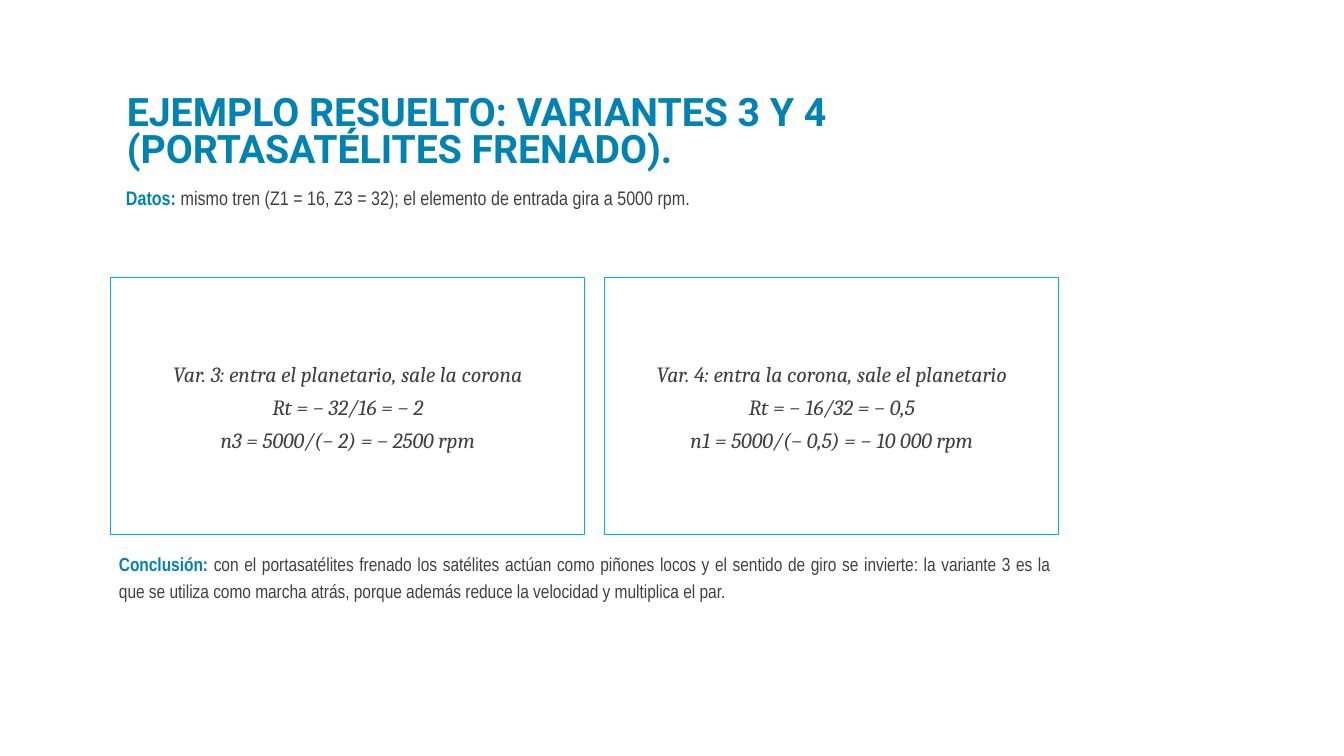
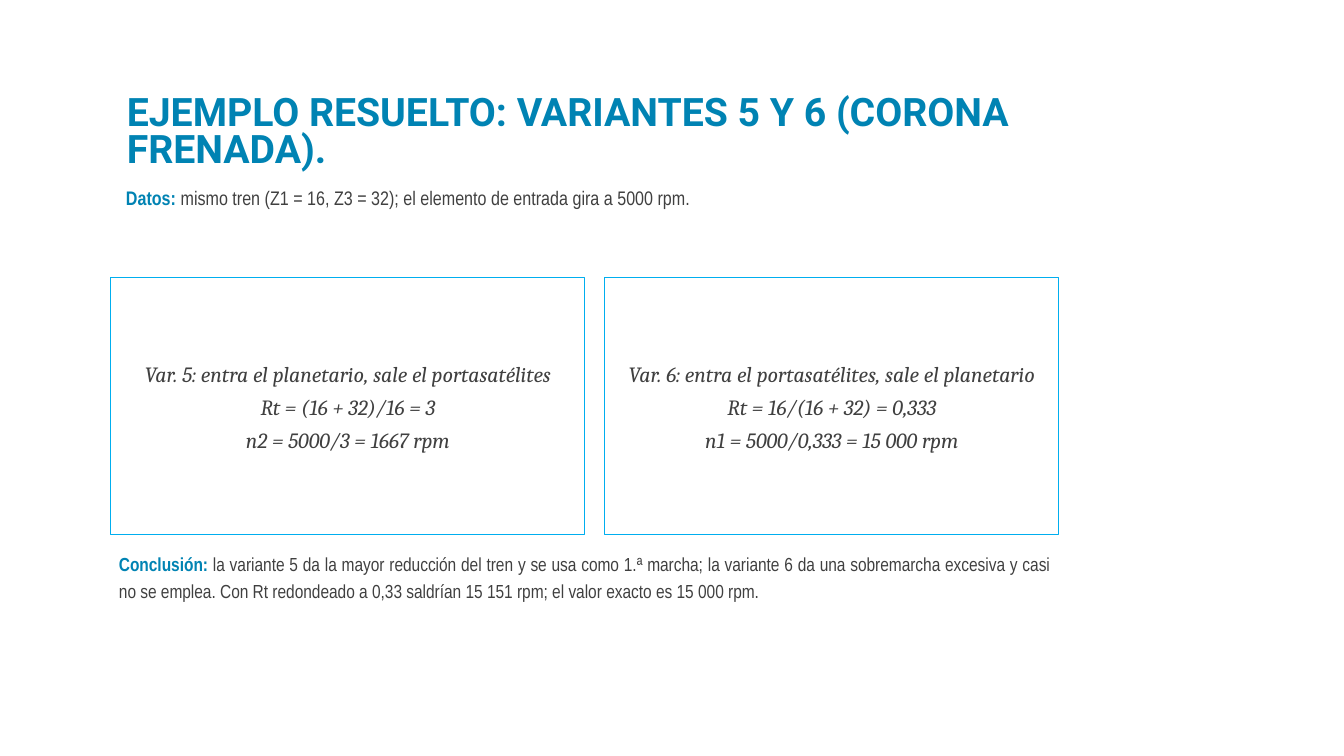
"""Build two worked-example slides about planetary gear variants."""
from pptx import Presentation
from pptx import util as u
from pptx.dml import color
from pptx.enum import shapes, text

BLUE, CYAN, GRAY = "0083B3", "00AEEF", "404040"
LEFT, WIDTH, CARD_TOP, CARD_HEIGHT = 1.1, 9.4, 2.75, 2.55
CARD_SPANS = [(LEFT, 4.7), (6, 4.5)]
BODY_FONT = "Arial Narrow"
GIVEN = "mismo tren (Z1 = 16, Z3 = 32); el elemento de entrada gira a 5000 rpm."

EXAMPLES = [
    {
        "title": "EJEMPLO RESUELTO: VARIANTES 3 Y 4 (PORTASATÉLITES FRENADO).",
        "cards": [
            ["Var. 3: entra el planetario, sale la corona",
             "Rt = − 32/16 = − 2",
             "n3 = 5000/(− 2) = − 2500 rpm"],
            ["Var. 4: entra la corona, sale el planetario",
             "Rt = − 16/32 = − 0,5",
             "n1 = 5000/(− 0,5) = − 10 000 rpm"],
        ],
        "conclusion": "con el portasatélites frenado los satélites actúan como piñones "
                      "locos y el sentido de giro se invierte: la variante 3 es la que se "
                      "utiliza como marcha atrás, porque además reduce la velocidad y "
                      "multiplica el par.",
    },
    {
        "title": "EJEMPLO RESUELTO: VARIANTES 5 Y 6 (CORONA FRENADA).",
        "cards": [
            ["Var. 5: entra el planetario, sale el portasatélites",
             "Rt = (16 + 32)/16 = 3",
             "n2 = 5000/3 = 1667 rpm"],
            ["Var. 6: entra el portasatélites, sale el planetario",
             "Rt = 16/(16 + 32) = 0,333",
             "n1 = 5000/0,333 = 15 000 rpm"],
        ],
        "conclusion": "la variante 5 da la mayor reducción del tren y se usa como 1.ª marcha; "
                      "la variante 6 da una sobremarcha excesiva y casi no se emplea. Con Rt "
                      "redondeado a 0,33 saldrían 15 151 rpm; el valor exacto es 15 000 rpm.",
    },
]


def rgb(value):
    return color.RGBColor.from_string(value)


def style_frame(shape, margins, anchor=text.MSO_ANCHOR.TOP):
    frame = shape.text_frame
    frame.word_wrap = True
    frame.vertical_anchor = anchor
    frame.margin_left, frame.margin_top, frame.margin_right, frame.margin_bottom = map(
        u.Inches, margins)
    return frame


presentation = Presentation()
presentation.slide_width = u.Inches(13.33)
presentation.slide_height = u.Inches(7.5)

for example in EXAMPLES:
    slide = presentation.slides.add_slide(presentation.slide_layouts[6])

    title = slide.shapes.add_textbox(*map(u.Inches, (1.16, 0.58, 9.5, 1.17)))
    frame = style_frame(title, (0.1, 0.05, 0.1, 0.05), text.MSO_ANCHOR.BOTTOM)
    paragraph = frame.paragraphs[0]
    paragraph.text = example["title"]
    paragraph.line_spacing = 0.8
    paragraph.font.name = "Roboto"
    paragraph.font.size = u.Pt(28)
    paragraph.font.bold = True
    paragraph.font.color.rgb = rgb(BLUE)

    notes = [
        ("Datos: ", GIVEN, 1.75, 0.95, 14, 1.2, (0.15, 0.05, 0.1, 0.05)),
        ("Conclusión: ", example["conclusion"], 5.4, 0.85, 13.5, 1.18,
         (0.08, 0.04, 0.08, 0.04)),
    ]
    for label, body, top, height, size, spacing, margins in notes:
        note = slide.shapes.add_textbox(*map(u.Inches, (LEFT, top, WIDTH, height)))
        paragraph = style_frame(note, margins).paragraphs[0]
        paragraph.alignment = text.PP_ALIGN.JUSTIFY
        paragraph.line_spacing = spacing
        paragraph.font.name = BODY_FONT
        paragraph.font.size = u.Pt(size)
        for words, shade, bold in [(label, BLUE, True), (body, GRAY, False)]:
            run = paragraph.add_run()
            run.text = words
            run.font.bold = bold
            run.font.color.rgb = rgb(shade)

    for (left, width), lines in zip(CARD_SPANS, example["cards"]):
        card = slide.shapes.add_shape(
            shapes.MSO_SHAPE.RECTANGLE,
            *map(u.Inches, (left, CARD_TOP, width, CARD_HEIGHT)))
        card.shadow.inherit = False
        card.fill.background()
        card.line.color.rgb = rgb(CYAN)
        card.line.width = u.Pt(0.75)
        frame = style_frame(card, (0.08, 0.04, 0.08, 0.04), text.MSO_ANCHOR.MIDDLE)
        for index, line in enumerate(lines):
            paragraph = frame.add_paragraph() if index else frame.paragraphs[0]
            paragraph.text = line
            paragraph.alignment = text.PP_ALIGN.CENTER
            paragraph.line_spacing = 1.1
            paragraph.space_before = u.Pt(3 if index else 0)
            paragraph.font.name = "Cambria"
            paragraph.font.size = u.Pt(15.5)
            paragraph.font.italic = True
            paragraph.font.color.rgb = rgb(GRAY)

presentation.save("out.pptx")
